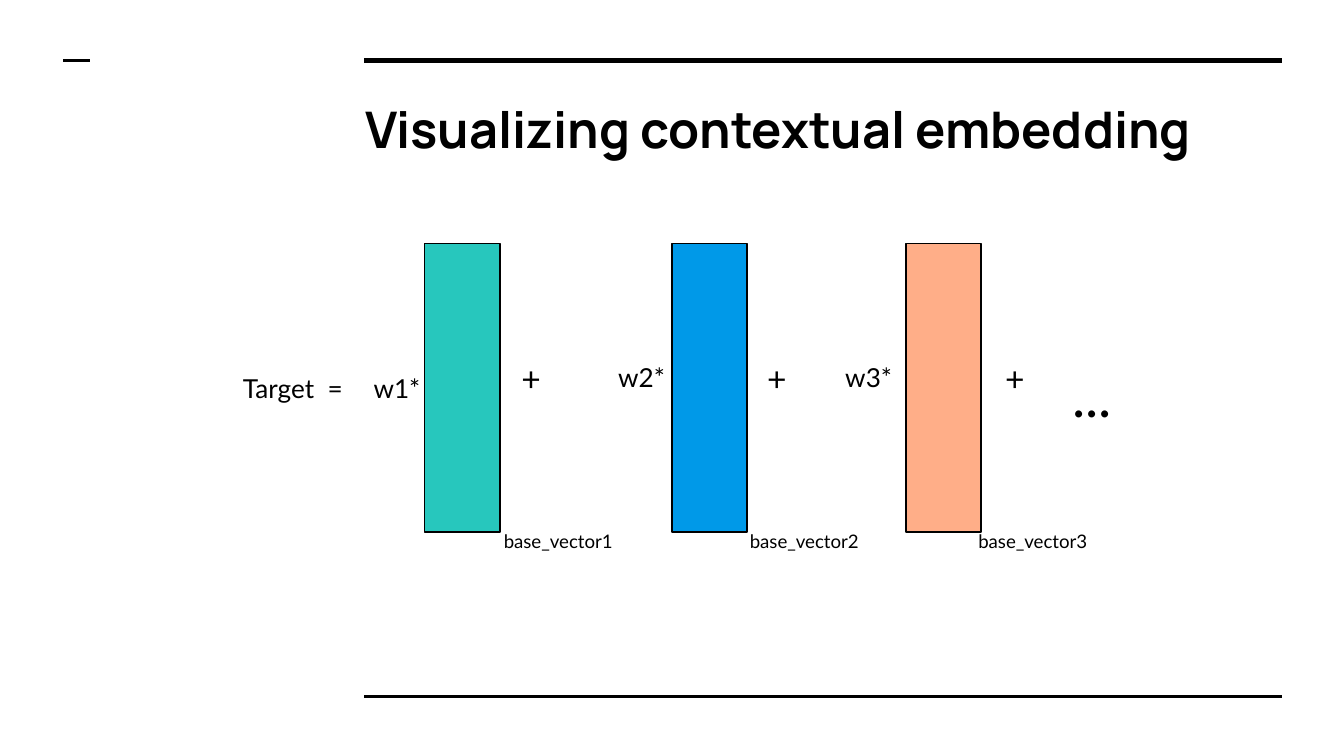
from pptx import Presentation, util as u
from pptx.dml.color import RGBColor
from pptx.enum import shapes, text
from pptx.oxml.ns import qn
from lxml import etree

Pt = u.Pt
BLACK = RGBColor(0x00, 0x00, 0x00)
WHITE = RGBColor(0xFF, 0xFF, 0xFF)
TEAL = RGBColor(0x27, 0xC7, 0xBD)
BLUE = RGBColor(0x00, 0x99, 0xE8)
PEACH = RGBColor(0xFF, 0xAE, 0x88)

# Content
TITLE = "Visualizing contextual embedding"
TARGET = "Target  ="
MORE = "..."
# Each term: weight, vector name, fill, then left edges of
# the bar, weight, plus sign and name; last the weight's top
TERMS = [
    ("w1*", "base_vector1", TEAL, 227.5, 193, 272.2, 262.8, 192.2),
    ("w2*", "base_vector2", BLUE, 360, 324, 403.9, 394.6, 186.5),
    ("w3*", "base_vector3", PEACH, 485.3, 445.7, 531.4, 517, 186.5),
]
# Rules: left, right, top, weight
RULES = [
    (195.1, 686.9, 32.4, 3),
    (195.1, 686.9, 373, 1.5),
    (33.8, 48.2, 32.4, 1.5),
]
BAR_TOP, BAR_W, BAR_H = 130.3, 40.3, 154.8
PLUS_TOP, NAME_TOP = 184.3, 277.9

prs = Presentation()
prs.slide_width, prs.slide_height = Pt(720), Pt(405)
slide = prs.slides.add_slide(prs.slide_layouts[6])
slide.background.fill.solid()
slide.background.fill.fore_color.rgb = WHITE


def add_rule(left, right, top, weight):
    line = slide.shapes.add_connector(
        shapes.MSO_CONNECTOR.STRAIGHT, Pt(left), Pt(top), Pt(right), Pt(top))
    line.line.color.rgb = BLACK
    line.line.width = Pt(weight)
    etree.SubElement(line.element.spPr, qn("a:effectLst"))


def add_text(words, left, top, width, height, size, font="Lato", bold=False):
    box = slide.shapes.add_textbox(Pt(left), Pt(top), Pt(width), Pt(height))
    frame = box.text_frame
    frame.word_wrap = True
    frame.vertical_anchor = text.MSO_ANCHOR.TOP
    frame.margin_left = frame.margin_right = Pt(7.2)
    frame.margin_top = frame.margin_bottom = Pt(7.2)
    run = frame.paragraphs[0].add_run()
    run.text = words
    run.font.name = font
    run.font.size = Pt(size)
    run.font.bold = bold
    run.font.color.rgb = BLACK


def add_bar(left, fill):
    bar = slide.shapes.add_shape(
        shapes.MSO_SHAPE.RECTANGLE,
        Pt(left), Pt(BAR_TOP), Pt(BAR_W), Pt(BAR_H))
    bar.shadow.inherit = False
    bar.fill.solid()
    bar.fill.fore_color.rgb = fill
    bar.line.color.rgb = BLACK
    bar.line.width = Pt(0.75)


# Frame and title
for rule in RULES:
    add_rule(*rule)
add_text(TITLE, 188.6, 45.4, 497.5, 49.7, 27, "Manrope", True)

# Weighted sum of base vectors
add_text(TARGET, 123.1, 192.2, 74.2, 31.7, 14)
for weight, name, fill, bar_x, weight_x, plus_x, name_x, weight_y in TERMS:
    add_bar(bar_x, fill)
    add_text(weight, weight_x, weight_y, 44.6, 31.7, 14)
    add_text("+", plus_x, PLUS_TOP, 30.2, 36, 18)
    add_text(name, name_x, NAME_TOP, 97.2, 26.6, 10)
add_text(MORE, 567.4, 186.5, 103.7, 51.1, 30)

prs.save("out.pptx")
